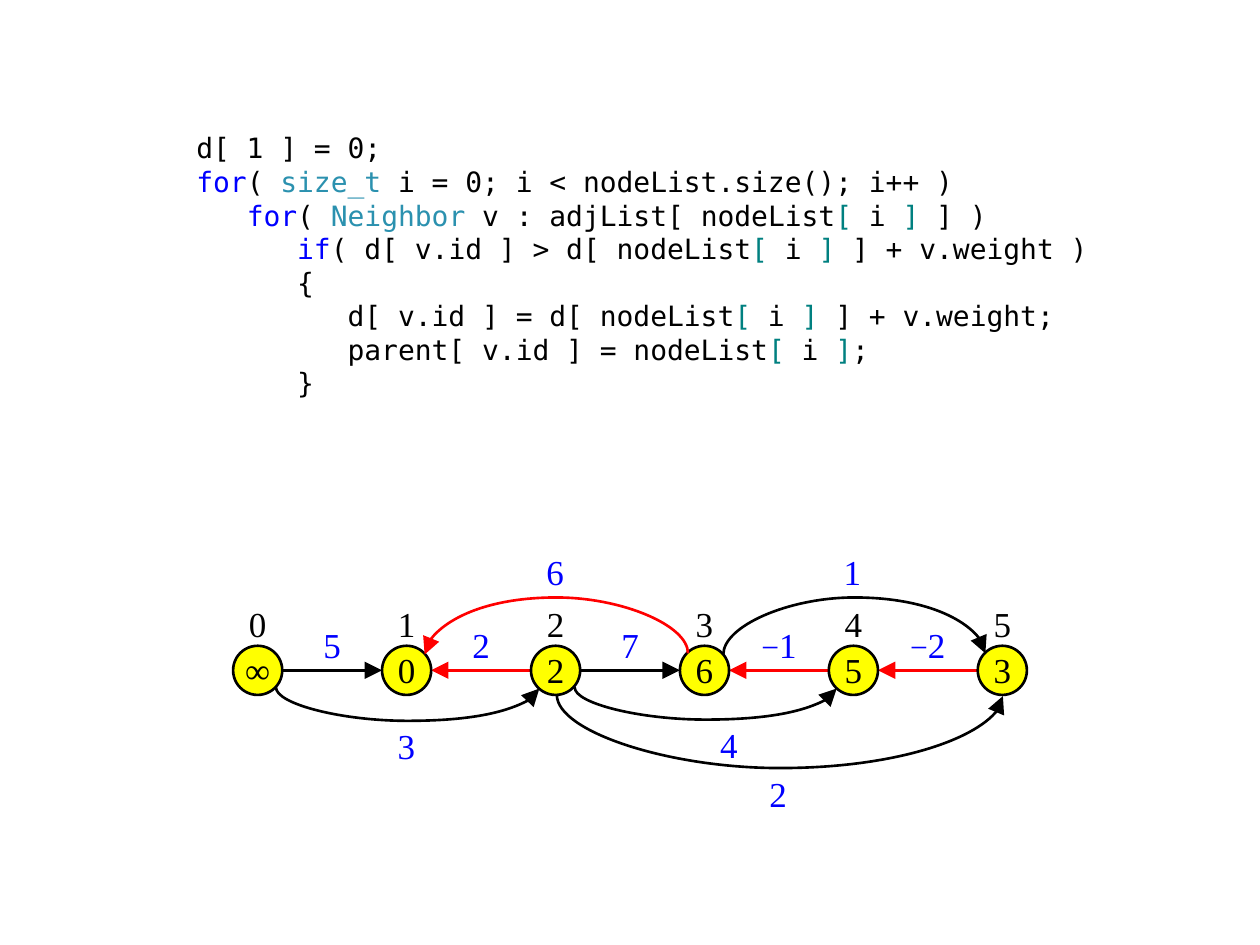
import pptx
import pptx.util
import pptx.dml.color
import pptx.enum.shapes
import pptx.enum.text
import pptx.oxml
import pptx.oxml.ns
import lxml.etree

Inches = pptx.util.Inches
Pt = pptx.util.Pt
KIND = pptx.enum.shapes.MSO_CONNECTOR
ALIGN = pptx.enum.text.PP_ALIGN
ANCHOR = pptx.enum.text.MSO_ANCHOR

COLORS = {"ink": "000000", "blue": "0000FF", "type": "2B91AF",
          "mark": "008080", "red": "FF0000", "node": "FFFF00"}
MONO, SERIF = "DejaVu Sans Mono", "Times New Roman"

# Bars part the tokens that have a colour of their own
CODE = """\
   d[ 1 ] = 0;
   |for|( |size_t| i = 0; i < nodeList.size(); i++ )
      |for|( |Neighbor| v : adjList[ nodeList|[| i |]| ] )
         |if|( d[ v.id ] > d[ nodeList|[| i |]| ] + v.weight )
         {
            d[ v.id ] = d[ nodeList|[| i |]| ] + v.weight;
            parent[ v.id ] = nodeList|[| i |]|;
         }"""
TOKENS = {"for": "blue", "if": "blue", "size_t": "type",
          "Neighbor": "type", "[": "mark", "]": "mark"}

SIZE = 0.39    # diameter of a node, side of a label
MID = 0.98     # height of the node centres in the graph box
NODES = ["∞", "0", "2", "6", "5", "3"]
# Weight and direction of the edge after each node
EDGES = [("5", 1), ("2", -1), ("7", 1), ("−1", -1), ("−2", -1)]
# Start and end x, end height, bulge (up is negative), colour, arrowhead place
ARCS = [(1.52, 3.61, 0.85, -0.46, "red", "headEnd"),
        (0.34, 2.43, 1.12, 0.27, "ink", "tailEnd"),
        (3.89, 5.97, 0.85, -0.46, "ink", "tailEnd"),
        (2.71, 4.79, 1.12, 0.26, "ink", "tailEnd"),
        (2.57, 6.11, 1.18, 0.59, "ink", "tailEnd")]
# Weight, x, y and bottom inset of each arc's label
LABELS = [("6", 2.36, 0, 0), ("1", 4.72, 0, 0), ("3", 1.18, 1.38, 0),
          ("4", 3.74, 1.38, 0.02), ("2", 4.13, 1.77, 0.02)]


def tint(name):
    return pptx.dml.color.RGBColor.from_string(COLORS[name])


def write(frame, lines, font=SERIF, size=20, color="ink", align=ALIGN.CENTER,
          anchor=ANCHOR.MIDDLE, wrap=False, pad=(0, 0, 0, 0.02), hang=0):
    """Fill a frame; each line is a list of (text, colour, size) runs."""
    frame.word_wrap = wrap
    frame.vertical_anchor = anchor
    (frame.margin_left, frame.margin_top,
     frame.margin_right, frame.margin_bottom) = map(Inches, pad)
    for num, runs in enumerate(lines):
        par = frame.add_paragraph() if num else frame.paragraphs[0]
        par.alignment = align
        if hang:
            props = par._p.get_or_add_pPr()
            props.set("marL", str(Inches(hang)))
            props.set("indent", str(-Inches(hang)))
        for text, shade, points in runs:
            run = par.add_run()
            run.text = text
            run.font.name = font
            run.font.size = Pt(points or size)
            run.font.color.rgb = tint(shade or color)


def label(slide, x, y, text, **form):
    box = slide.shapes.add_textbox(*map(Inches, (x, y, SIZE, SIZE)))
    runs = [(char, None, 18 if char == "−" else None) for char in text]
    write(box.text_frame, [runs], **form)


def style(line, color, end="tailEnd"):
    """Colour a connector and give it an arrowhead."""
    line.line.color.rgb = tint(color)
    line.line.width = Pt(1.5)
    props = line._element.spPr
    tag = pptx.oxml.ns.qn
    lxml.etree.SubElement(line.line._get_or_add_ln(), tag("a:" + end),
                          type="triangle", w="lg", len="lg")
    lxml.etree.SubElement(props, tag("a:effectLst"))


def arc(slide, left, right, y, bulge, color, end):
    """Draw a curve from left to right that swells up or down."""
    thin, span, turn = 0.01, right - left, 1 if bulge > 0 else -1
    mid = (left + right) / 2
    line = slide.shapes.add_connector(
        KIND.CURVE, Inches(mid + thin / 2), Inches(y - turn * span / 2),
        Inches(mid - thin / 2), Inches(y + turn * span / 2))
    props = line._element.spPr
    tag = pptx.oxml.ns.qn
    props.find(tag("a:xfrm")).set("rot", "16200000" if turn > 0 else "5400000")
    shape = props.find(tag("a:prstGeom"))
    guides = shape.find(tag("a:avLst"))
    if guides is None:
        guides = lxml.etree.SubElement(shape, tag("a:avLst"))
    lxml.etree.SubElement(guides, tag("a:gd"), name="adj1",
                          fmla=f"val {round(abs(bulge) / thin * 100000)}")
    style(line, color, end)


def node(slide, x, y, text):
    disc = slide.shapes.add_shape(pptx.enum.shapes.MSO_SHAPE.OVAL,
                                  *map(Inches, (x, y, SIZE, SIZE)))
    disc.shadow.inherit = False
    disc.fill.solid()
    disc.fill.fore_color.rgb = tint("node")
    disc.line.color.rgb = tint("ink")
    disc.line.width = Pt(1.5)
    write(disc.text_frame, [[(text, None, None)]])


def code(slide, x, y, width, height):
    box = slide.shapes.add_textbox(*map(Inches, (x, y, width, height)))
    lines = [[(part, TOKENS.get(part), None) for part in row.split("|")]
             for row in CODE.splitlines()]
    write(box.text_frame, lines, font=MONO, size=16, align=ALIGN.LEFT,
          anchor=ANCHOR.TOP, wrap=True, pad=(0.1, 0.05, 0.1, 0.05),
          hang=0.38)


def graph(slide, x, y, width):
    step = (width - SIZE) / (len(NODES) - 1)
    # Edges between neighbours
    for num, (weight, way) in enumerate(EDGES):
        left = x + num * step
        ends = [left + SIZE, left + step][::way]
        line = slide.shapes.add_connector(
            KIND.STRAIGHT, Inches(ends[0]), Inches(y + MID),
            Inches(ends[1]), Inches(y + MID))
        style(line, "ink" if way > 0 else "red")
        label(slide, left + step / 2, y + 0.59, weight, color="blue")
    # Nodes with their indices
    for num, text in enumerate(NODES):
        left = x + num * step
        node(slide, left, y + MID - SIZE / 2, text)
        label(slide, left, y + 0.39, str(num), pad=(0, 0.04, 0, 0))
    # Long edges
    for left, right, top, bulge, color, end in ARCS:
        arc(slide, x + left, x + right, y + top, bulge, color, end)
    for text, left, top, foot in LABELS:
        label(slide, x + left, y + top, text, color="blue",
              pad=(0, 0, 0, foot))


def main():
    deck = pptx.Presentation()
    deck.slide_width, deck.slide_height = Inches(10), Inches(7.5)
    slide = deck.slides.add_slide(deck.slide_layouts[6])
    code(slide, 1.06, 0.99, 7.87, 2.36)
    graph(slide, 1.85, 4.34, 6.3)
    deck.save("out.pptx")


if __name__ == "__main__":
    main()
